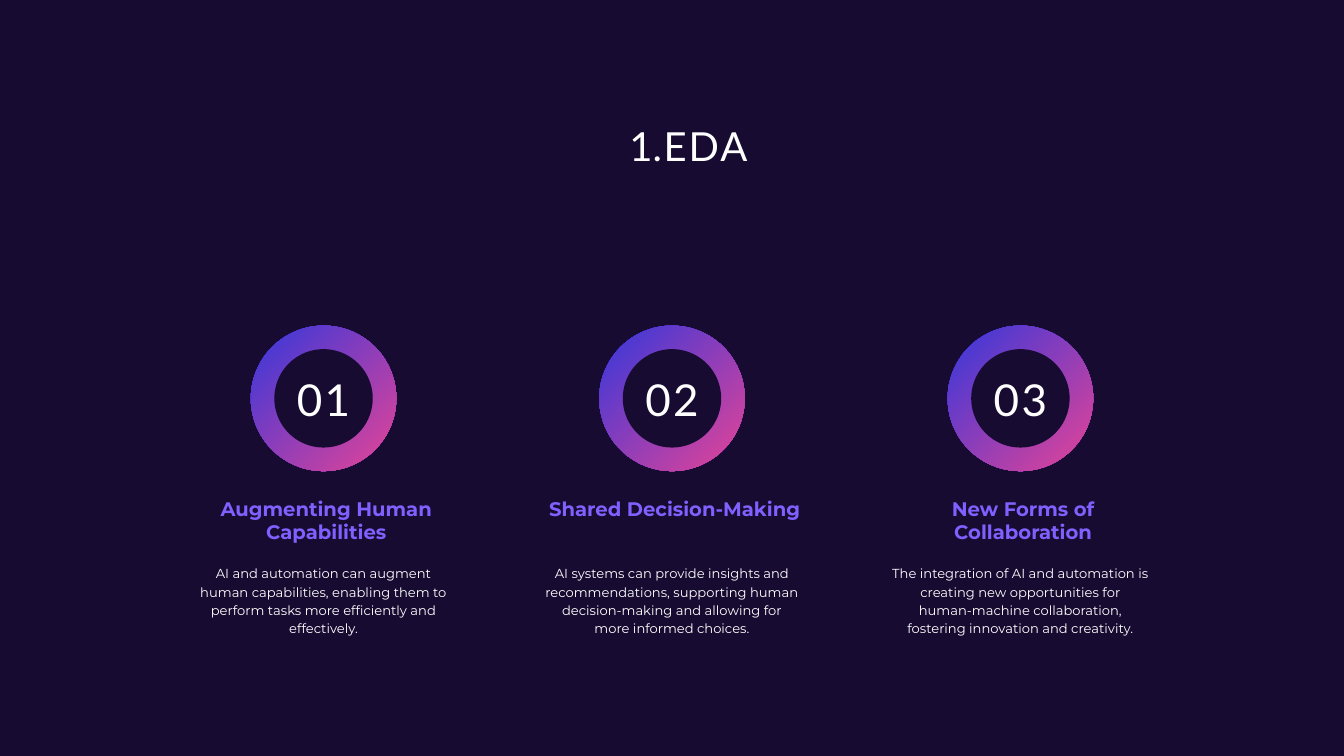
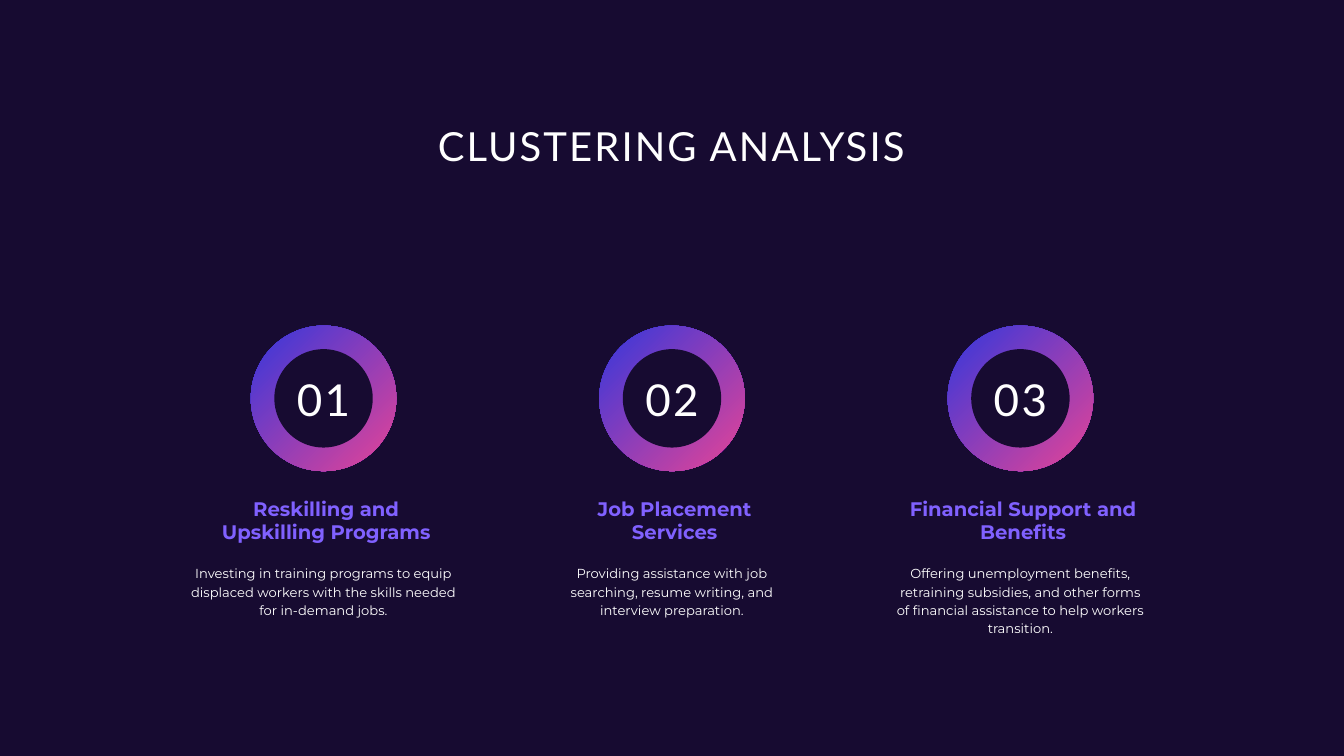
"""Build two slides, each with a title and three numbered columns under gradient rings."""
from lxml import etree
from pptx import Presentation
from pptx import util as u
from pptx.dml.color import RGBColor
from pptx.enum import shapes, text
from pptx.oxml.ns import qn


class Theme:
    night = RGBColor.from_string("170B31")
    white = RGBColor.from_string("FFFFFF")
    violet = RGBColor.from_string("8061FF")
    blue = RGBColor.from_string("3437DC")
    pink = RGBColor.from_string("E64496")
    title = dict(size=42.9, leading=53.9, font="Lato", color=white, spacing=2.3)
    number = dict(size=47.1, leading=58.5, font="Lato", color=white, spacing=2.5)
    heading = dict(size=21, leading=24.4, font="Montserrat", color=violet, bold=True)
    body = dict(size=14, leading=19.6, font="Montserrat", color=white)


def add_text(s, words, left, top, width, height, *, size, leading, font, color,
             bold=False, spacing=0, numbered=False):
    sp = s.shapes.add_textbox(u.Cm(left), u.Cm(top), u.Cm(width), u.Cm(height))
    tf = sp.text_frame
    tf.word_wrap = True
    tf.auto_size = text.MSO_AUTO_SIZE.SHAPE_TO_FIT_TEXT
    tf.margin_left = tf.margin_right = tf.margin_top = tf.margin_bottom = 0
    p = tf.paragraphs[0]
    p.alignment = text.PP_ALIGN.CENTER
    p.line_spacing = u.Pt(leading)
    if numbered:
        p.level = 1
        pPr = p._p.get_or_add_pPr()
        pPr.set("marL", str(u.Cm(2.57)))
        pPr.set("indent", str(u.Cm(-1.29)))
        etree.SubElement(pPr, qn("a:buFont")).set("typeface", "+mj-lt")
        etree.SubElement(pPr, qn("a:buAutoNum")).set("type", "arabicPeriod")
    r = p.add_run()
    r.text = words
    r.font.size = u.Pt(size)
    r.font.name = font
    r.font.bold = bold
    r.font.color.rgb = color
    if spacing:
        r.font._element.set("spc", str(round(spacing * 100)))


def add_disc(s, center, diameter):
    sp = s.shapes.add_shape(
        shapes.MSO_SHAPE.OVAL, u.Cm(center - diameter / 2),
        u.Cm(RING_MIDDLE - diameter / 2), u.Cm(diameter), u.Cm(diameter))
    sp.shadow.inherit = False
    sp.line.fill.background()
    return sp.fill


WIDTH, HEIGHT = 50.8, 28.58
PITCH = 13.17
CENTERS = [WIDTH / 2 + PITCH * i for i in (-1, 0, 1)]
RING_MIDDLE = 15.06
RING, HOLE = 5.5, 3.72

# title, numbered, columns of (heading, width, height, body, width, height)
SLIDES = [
    ("EDA", True, [
        ("Augmenting Human Capabilities", 9.52, 1.7,
         "AI and automation can augment human capabilities, enabling them to "
         "perform tasks more efficiently and effectively.", 9.7, 2.74),
        ("Shared Decision-Making", 9.52, 0.84,
         "AI systems can provide insights and recommendations, supporting human "
         "decision-making and allowing for more informed choices.", 9.7, 2.74),
        ("New Forms of Collaboration", 9.52, 1.7,
         "The integration of AI and automation is creating new opportunities for "
         "human-machine collaboration, fostering innovation and creativity.", 9.7, 2.74),
    ]),
    ("CLUSTERING ANALYSIS", False, [
        ("Reskilling and Upskilling Programs", 9.52, 1.7,
         "Investing in training programs to equip displaced workers with the skills "
         "needed for in-demand jobs.", 10.67, 2.03),
        ("Job Placement Services", 8, 1.7,
         "Providing assistance with job searching, resume writing, and interview "
         "preparation.", 9.58, 2.03),
        ("Financial Support and Benefits", 9.52, 1.7,
         "Offering unemployment benefits, retraining subsidies, and other forms of "
         "financial assistance to help workers transition.", 9.7, 2.74),
    ]),
]

prs = Presentation()
prs.slide_width, prs.slide_height = u.Cm(WIDTH), u.Cm(HEIGHT)

for title, numbered, columns in SLIDES:
    s = prs.slides.add_slide(prs.slide_layouts[6])
    s.background.fill.solid()
    s.background.fill.fore_color.rgb = Theme.night

    for i, (center, column) in enumerate(zip(CENTERS, columns), 1):
        heading, heading_w, heading_h, body, body_w, body_h = column
        ring = add_disc(s, center, RING)
        ring.gradient()
        ring.gradient_angle = 315
        for stop, color in zip(ring.gradient_stops, (Theme.blue, Theme.pink)):
            stop.color.rgb = color
        hole = add_disc(s, center, HOLE)
        hole.solid()
        hole.fore_color.rgb = Theme.night
        add_text(s, f"{i:02}", center - 1.78, 14, 3.56, 2.06, **Theme.number)
        add_text(s, body, center - body_w / 2, 21.29, body_w, body_h, **Theme.body)
        add_text(s, heading, center + 0.1 - heading_w / 2, 18.82, heading_w, heading_h,
                 **Theme.heading)

    add_text(s, title, 6.27, 4.52, 38.23, 1.88, numbered=numbered, **Theme.title)

prs.save("out.pptx")
